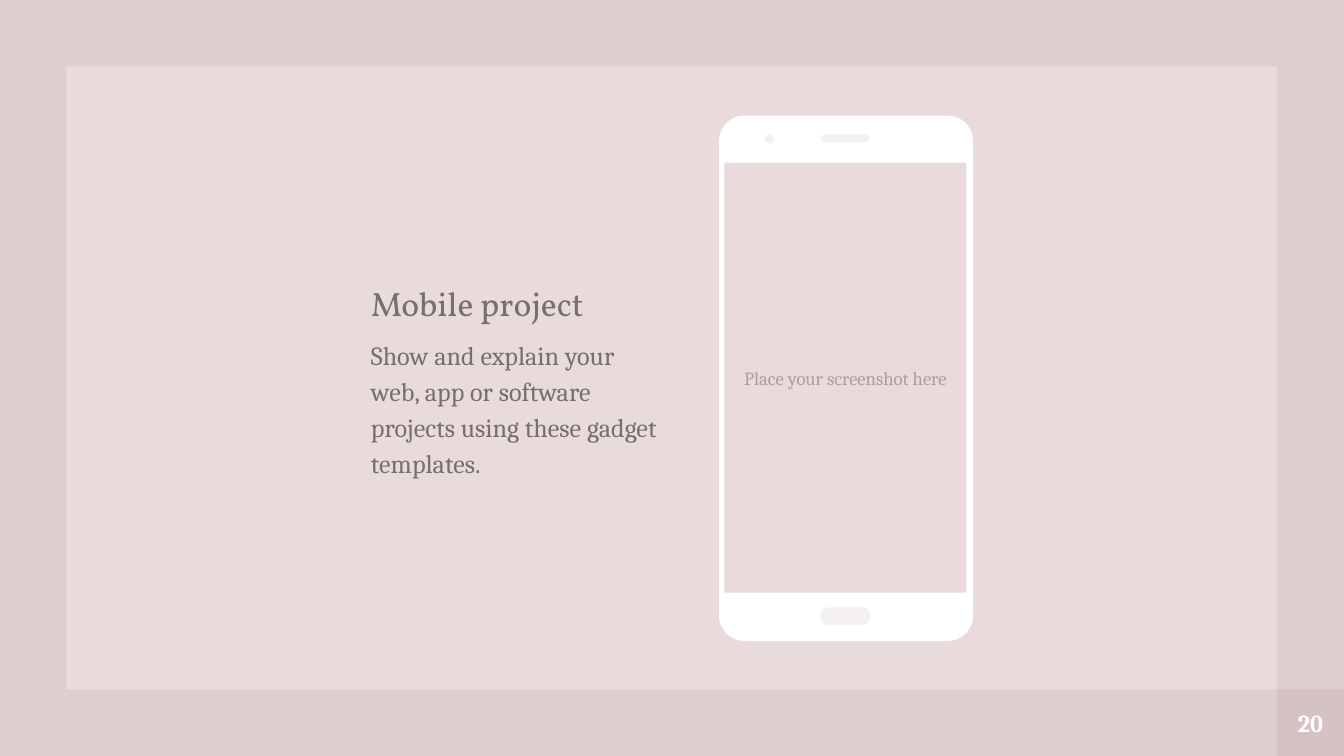
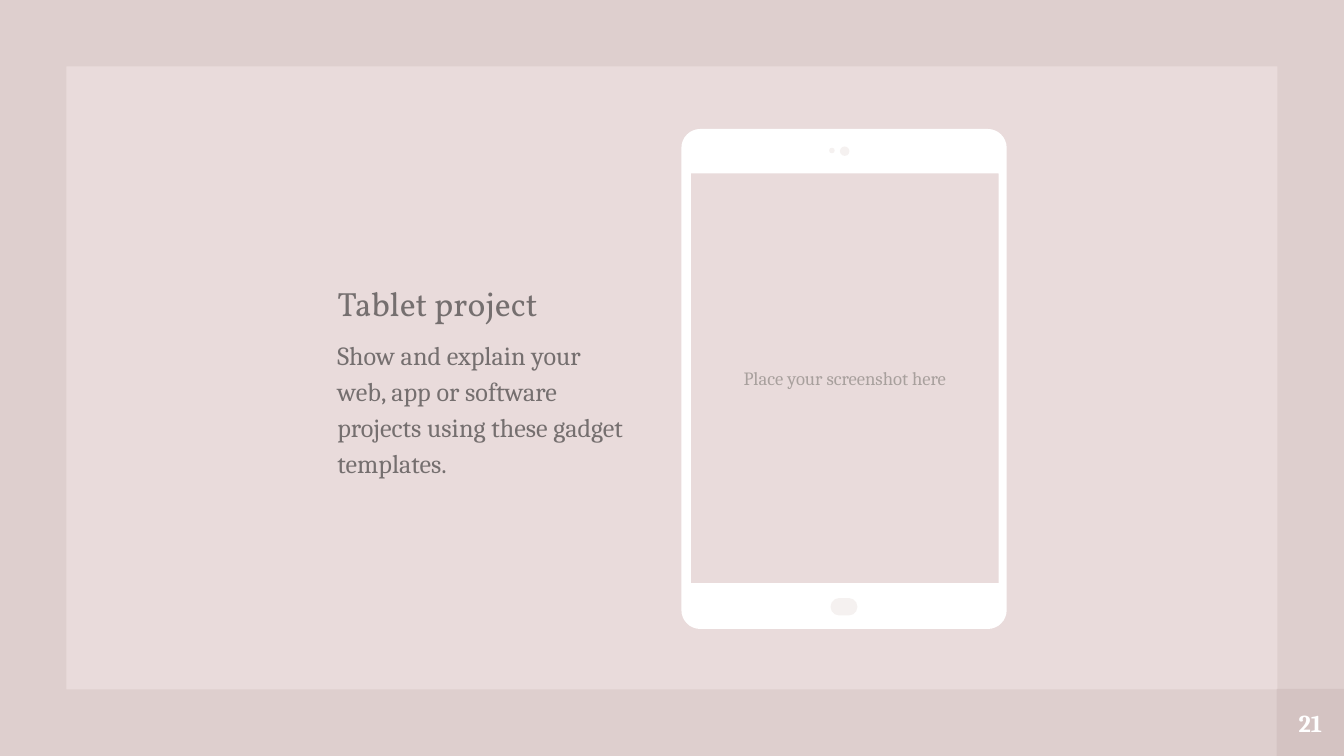
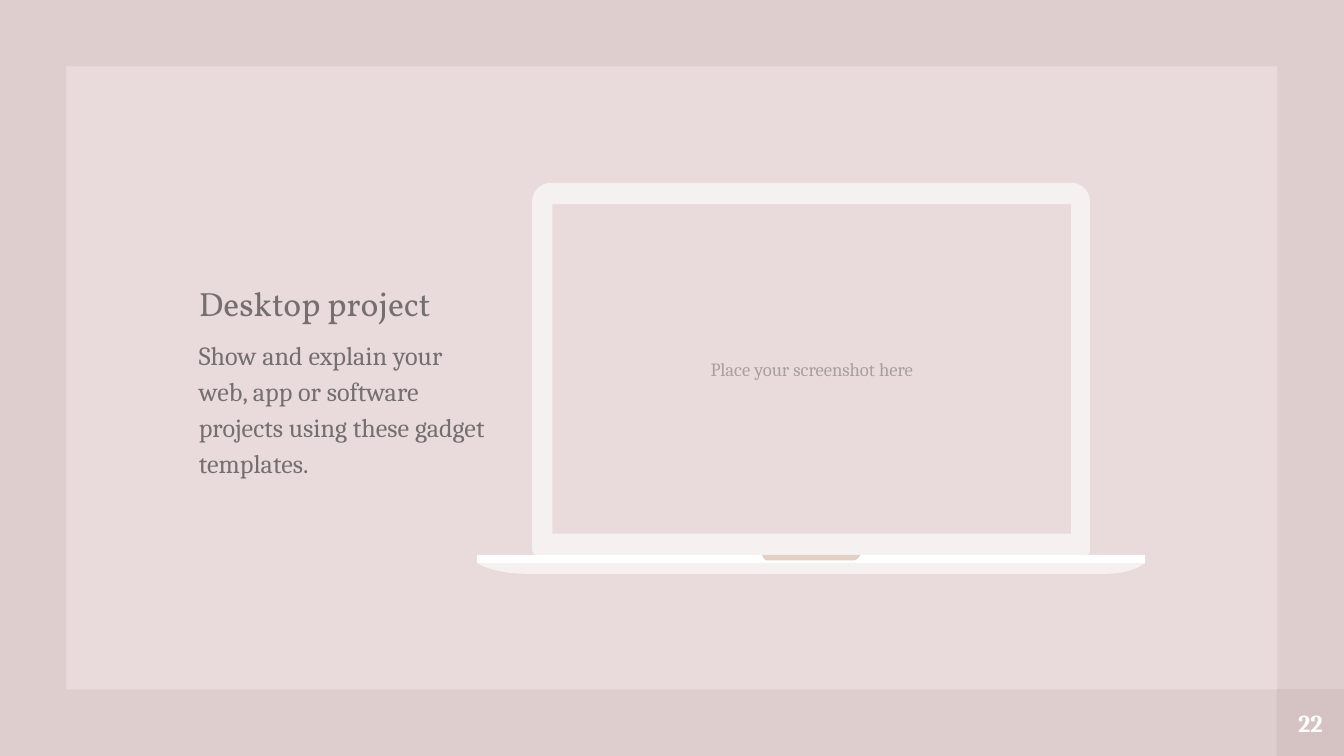
import math

from lxml import etree
from pptx import Presentation
from pptx import util as u
from pptx.dml.color import RGBColor
from pptx.enum import shapes as es
from pptx.enum import text as et
from pptx.oxml.ns import qn

# Shared look
WIDTH, HEIGHT, MARGIN = 10, 10 * 9 / 16, 0.5
BACKGROUND, SHADE, SHADE_ALPHA = "E9DBDB", "3B1106", 6
INK, MUTED, WHITE, PALE, NOTCH = "756F6F", "A8A09D", "FFFFFF", "F5F1F0", "E2D1C2"
TITLE_FONT, BODY_FONT = "Vollkorn", "Cambria"

FIRST_NUMBER = 20
EXPLANATION = "Show and explain your web, app or software projects using these gadget templates."
PROMPT = "Place your screenshot here"


def rgb(color):
    return RGBColor.from_string(color)


def inches(values):
    return [u.Inches(value) for value in values]


def paint(shape, color, alpha=None):
    shape.shadow.inherit = False
    shape.fill.solid()
    shape.fill.fore_color.rgb = rgb(color)
    shape.line.fill.background()
    if alpha is not None:
        fill_color = shape.element.find(".//" + qn("a:srgbClr"))
        etree.SubElement(fill_color, qn("a:alpha"), val=str(alpha * 1000))


def format_runs(paragraph, font, size, color, bold=False):
    for run in paragraph.runs:
        run.font.name = font
        run.font.size = u.Pt(size)
        run.font.color.rgb = rgb(color)
        run.font.bold = bold


def prepare_frame(text_frame, inset):
    text_frame.word_wrap = True
    text_frame.auto_size = et.MSO_AUTO_SIZE.NONE
    text_frame.vertical_anchor = et.MSO_ANCHOR.MIDDLE
    text_frame.margin_left = text_frame.margin_right = u.Inches(inset)
    text_frame.margin_top = text_frame.margin_bottom = u.Inches(inset)


def add_centred_text(shape, words, inset, size, color, bold=False):
    shape.text_frame.text = words
    prepare_frame(shape.text_frame, inset)
    paragraph = shape.text_frame.paragraphs[0]
    paragraph.alignment = et.PP_ALIGN.CENTER
    format_runs(paragraph, BODY_FONT, size, color, bold)


# Outlines
def rectangle_points(left, top, width, height):
    right, bottom = left + width, top + height
    return [(right, top), (right, bottom), (left, bottom), (left, top)]


def rounded_points(left, top, width, height, top_radius, bottom_radius):
    """Clockwise from the left end of the upper left corner."""
    corners = [
        (left + top_radius, top + top_radius, top_radius),
        (left + width - top_radius, top + top_radius, top_radius),
        (left + width - bottom_radius, top + height - bottom_radius, bottom_radius),
        (left + bottom_radius, top + height - bottom_radius, bottom_radius),
    ]
    points = []
    for index, (x, y, radius) in enumerate(corners):
        for step in range(9):
            angle = math.radians(180 + 90 * index + 90 * step / 8)
            points.append((x + radius * math.cos(angle), y + radius * math.sin(angle)))
    return points


def trough_points(left, top, width, depth, left_run, right_run):
    """Flat top, flat bottom and a curve at each end."""
    curve = [(t * t, depth * t * t * (3 - 2 * t)) for t in (step / 8 for step in range(9))]
    left_side = [(left + left_run * x, top + y) for x, y in curve]
    right_side = [(left + width - right_run * x, top + y) for x, y in reversed(curve)]
    return left_side + right_side


def add_outline(shapes, contours, color):
    builder = shapes.build_freeform(*inches(contours[0][0]))
    for index, contour in enumerate(contours):
        if index:
            builder.move_to(*inches(contour[0]))
        builder.add_line_segments([inches(point) for point in contour[1:]], close=True)
    paint(builder.convert_to_shape(), color)


def add_preset(shapes, kind, box, color, alpha=None):
    shape = shapes.add_shape(kind, *inches(box))
    paint(shape, color, alpha)
    return shape


# Shared regions
def add_master_frame(presentation, slide):
    master = presentation.slide_master
    master.background.fill.solid()
    master.background.fill.fore_color.rgb = rgb(BACKGROUND)
    frame = add_preset(slide.shapes, es.MSO_SHAPE.FRAME, (0, 0, WIDTH, HEIGHT), SHADE, SHADE_ALPHA)
    frame.adjustments[0] = 0.088
    master.shapes.element.insert(2, frame.element)


def add_description(slide, title, left):
    body = slide.placeholders[1]
    body.left, body.top, body.width, body.height = inches((left, MARGIN, 2.2, HEIGHT - 2 * MARGIN))
    body.text_frame.text = f"{title}\n{EXPLANATION}"
    prepare_frame(body.text_frame, 0)
    styles = [(TITLE_FONT, 18, 0), (BODY_FONT, 14, 6)]
    for paragraph, (font, size, space) in zip(body.text_frame.paragraphs, styles):
        paragraph.line_spacing = 1.15
        paragraph.space_before = paragraph.space_after = u.Pt(space)
        format_runs(paragraph, font, size, INK)


def add_prompt(slide, screen):
    add_centred_text(slide.shapes.add_textbox(*inches(screen)), PROMPT, 0.1, 10, MUTED)


def add_number(slide, number):
    box = (WIDTH - MARGIN, HEIGHT - MARGIN, MARGIN, MARGIN)
    badge = add_preset(slide.shapes, es.MSO_SHAPE.RECTANGLE, box, SHADE, SHADE_ALPHA)
    add_centred_text(badge, str(number), 0, 13, WHITE, bold=True)


# Devices
def add_handheld(slide, box, screen, radius, buttons, dots):
    """White case with a screen opening; buttons and dots are relative to the case."""
    left, top = box[:2]
    shapes = slide.shapes.add_group_shape().shapes
    add_outline(shapes, [rectangle_points(*screen), rounded_points(*box, radius, radius)], WHITE)
    for x, y, width, height in buttons:
        button = add_preset(shapes, es.MSO_SHAPE.ROUNDED_RECTANGLE,
                            (left + x, top + y, width, height), PALE)
        button.adjustments[0] = 0.5
    for x, y, size in dots:
        add_preset(shapes, es.MSO_SHAPE.OVAL, (left + x, top + y, size, size), PALE)


def add_laptop(slide, box, screen):
    """Lid in the given box, standing on a wider base."""
    left, top, width, height = box
    base_left, base_top, base_width = left - 0.41, top + height - 0.01, width + 0.82
    shapes = slide.shapes.add_group_shape().shapes
    add_outline(shapes, [rounded_points(*box, 0.14, 0.05),
                         rectangle_points(*screen)[::-1]], PALE)
    add_outline(shapes, [trough_points(base_left, base_top + 0.06, base_width, 0.08, 0.37, 0.29)], PALE)
    add_preset(shapes, es.MSO_SHAPE.RECTANGLE, (base_left, base_top, base_width, 0.06), WHITE)
    notch_left = left + (width - 0.73) / 2
    add_outline(shapes, [trough_points(notch_left, base_top, 0.73, 0.04, 0.04, 0.05)], NOTCH)


DEVICES = [
    dict(title="Mobile project", text_left=2.76, draw=add_handheld,
         box=(5.35, 0.86, 1.89, 3.91), screen=(5.39, 1.21, 1.8, 3.2),
         details=dict(radius=0.19, buttons=[(0.75, 3.66, 0.38, 0.13), (0.76, 0.14, 0.36, 0.06)],
                      dots=[(0.34, 0.14, 0.07)])),
    dict(title="Tablet project", text_left=2.51, draw=add_handheld,
         box=(5.07, 0.96, 2.42, 3.72), screen=(5.14, 1.29, 2.29, 3.05),
         details=dict(radius=0.14, buttons=[(1.11, 3.49, 0.2, 0.13)],
                      dots=[(1.1, 0.14, 0.04), (1.18, 0.13, 0.07)])),
    dict(title="Desktop project", text_left=1.48, draw=add_laptop,
         box=(3.96, 1.36, 4.15, 2.78), screen=(4.11, 1.52, 3.86, 2.45), details={}),
]


def add_device_slide(presentation, device, number):
    slide = presentation.slides.add_slide(presentation.slide_layouts[2])
    title = slide.shapes.title.element
    title.getparent().remove(title)
    add_description(slide, device["title"], device["text_left"])
    add_prompt(slide, device["screen"])
    add_number(slide, number)
    device["draw"](slide, device["box"], device["screen"], **device["details"])
    return slide


def main():
    presentation = Presentation()
    presentation.slide_width, presentation.slide_height = inches((WIDTH, HEIGHT))
    slides = [add_device_slide(presentation, device, number)
              for number, device in enumerate(DEVICES, FIRST_NUMBER)]
    add_master_frame(presentation, slides[0])
    presentation.save("out.pptx")


if __name__ == "__main__":
    main()
